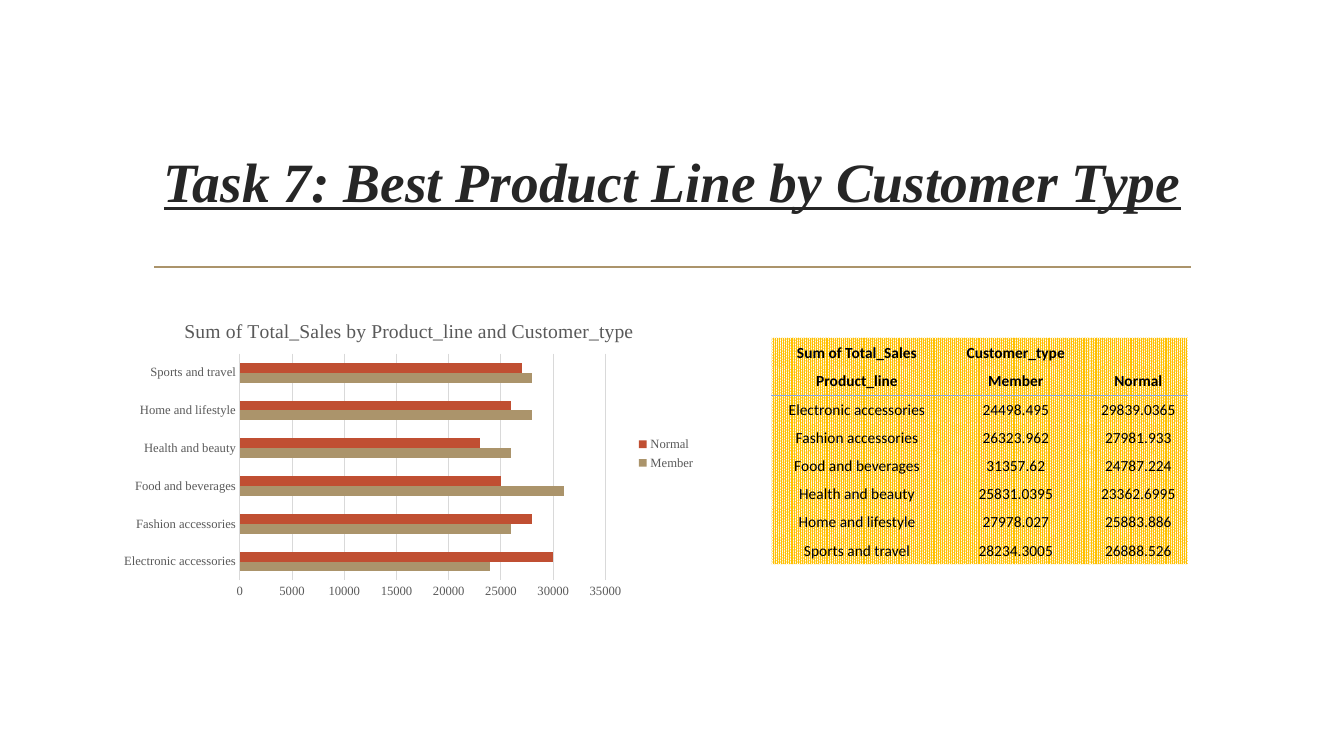
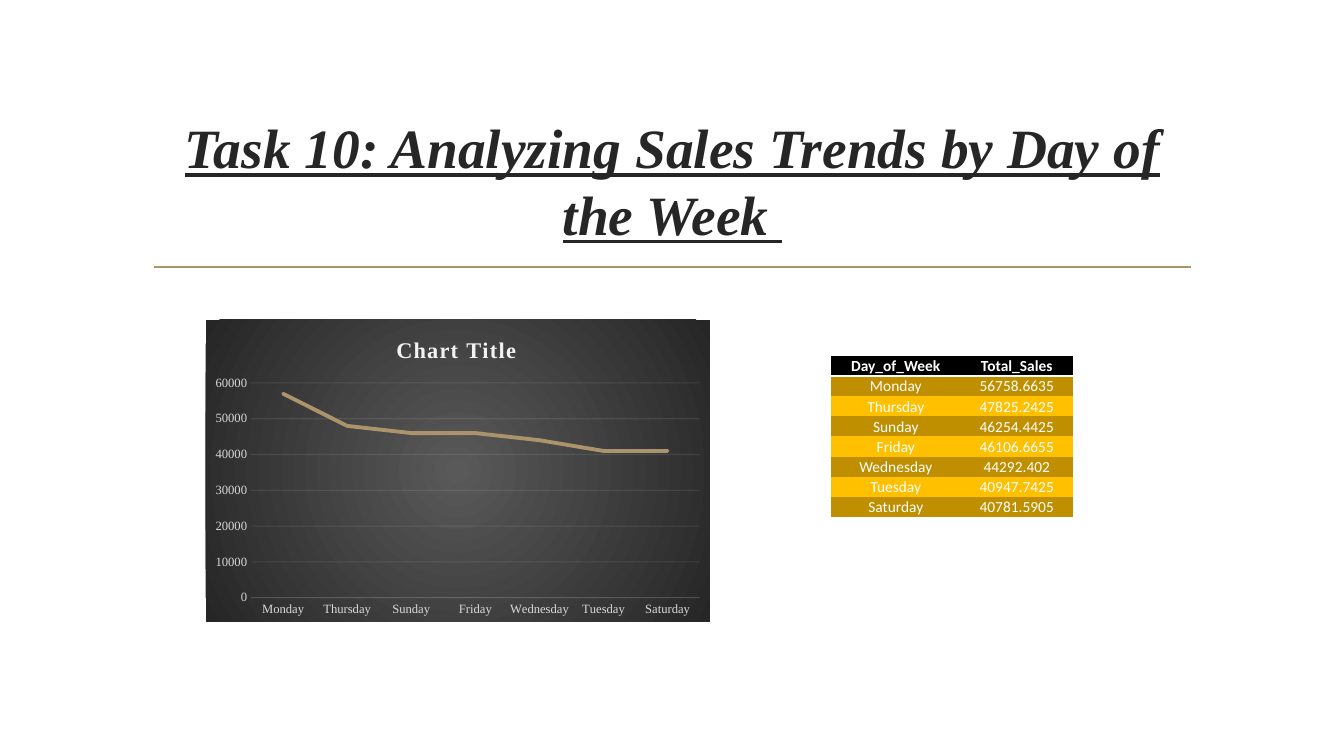
from pptx import Presentation
from pptx.chart.data import CategoryChartData
from pptx.dml.color import RGBColor
from pptx.enum.chart import XL_CHART_TYPE, XL_LEGEND_POSITION, XL_TICK_MARK
from pptx.enum.dml import MSO_PATTERN
from pptx.enum.shapes import MSO_CONNECTOR
from pptx.enum.text import MSO_ANCHOR, MSO_AUTO_SIZE, PP_ALIGN
from pptx.oxml import parse_xml
from pptx.oxml.ns import nsdecls, qn
from pptx.util import Inches, Pt

SERIF = "Times New Roman"
SANS = "Calibri"
TAN = "AB946B"
RUST = "C04F32"
GOLD = "FFC000"
DARK_GOLD = "BF8F00"
BLACK = "000000"
WHITE = "FFFFFF"
INK = "262626"
GREY = "595959"
SILVER = "D9D9D9"
PALE = "F2F2F2"
BLUE = "8EA9DB"
NO_TABLE_STYLE = "{2D5ABB26-0587-4C30-8999-92F81FD0307C}"


def rgb(value):
    return RGBColor.from_string(value)


def style(font, name, size, color, bold=False):
    font.name = name
    font.size = Pt(size)
    font.color.rgb = rgb(color)
    font.bold = bold


tasks = [
    {
        "title": "Task 7: Best Product Line by Customer Type",
        "rows": [
            ("Sum of Total_Sales", "Customer_type", ""),
            ("Product_line", "Member", "Normal"),
            ("Electronic accessories", "24498.495", "29839.0365"),
            ("Fashion accessories", "26323.962", "27981.933"),
            ("Food and beverages", "31357.62", "24787.224"),
            ("Health and beauty", "25831.0395", "23362.6995"),
            ("Home and lifestyle", "27978.027", "25883.886"),
            ("Sports and travel", "28234.3005", "26888.526"),
        ],
        "headers": 2,
        "table_at": (7.65, 3.35),
        "columns": (1.7, 1.45, 0.98),
        "row_height": 0.28,
        "table_text": BLACK,
        "divider": (BLUE, 0.5),
        "chart_type": XL_CHART_TYPE.BAR_CLUSTERED,
        "chart_at": (1.15, 3, 5.85, 3),
        "chart_title": "Sum of Total_Sales by Product_line and Customer_type",
        "chart_title_font": (14, GREY, False),
        "title_place": {"x": 0.11, "y": 0.04},
        "plot_place": {"x": 0.21, "y": 0.17, "w": 0.62, "h": 0.75},
        "label_color": GREY,
        "grid_color": SILVER,
    },
    {
        "title": "Task 10: Analyzing Sales Trends by Day of the Week ",
        "rows": [
            ("Day_of_Week", "Total_Sales"),
            ("Monday", "56758.6635"),
            ("Thursday", "47825.2425"),
            ("Sunday", "46254.4425"),
            ("Friday", "46106.6655"),
            ("Wednesday", "44292.402"),
            ("Tuesday", "40947.7425"),
            ("Saturday", "40781.5905"),
        ],
        "headers": 1,
        "table_at": (8.24, 3.53),
        "columns": (1.29, 1.11),
        "row_height": 0.2,
        "table_text": WHITE,
        "divider": (WHITE, 1),
        "chart_type": XL_CHART_TYPE.LINE,
        "chart_at": (2.04, 3.17, 5, 3),
        "chart_title": "Chart Title",
        "chart_title_font": (16, PALE, True),
        "title_place": {"x": 0.37, "y": 0.04},
        "plot_place": {"x": 0.09, "y": 0.21, "w": 0.89, "h": 0.71},
        "label_color": SILVER,
        "grid_color": PALE,
    },
]

prs = Presentation()
prs.slide_width = Inches(13.33)
prs.slide_height = Inches(7.5)
title_only = prs.slide_layouts[5]

for task in tasks:
    slide = prs.slides.add_slide(title_only)
    is_bar = task["chart_type"] == XL_CHART_TYPE.BAR_CLUSTERED

    rule = slide.shapes.add_connector(
        MSO_CONNECTOR.STRAIGHT, Inches(1.53), Inches(2.65), Inches(11.81), Inches(2.65)
    )
    rule.line.color.rgb = rgb(TAN)
    rule.line.width = Pt(1.25)
    rule.element.spPr.append(parse_xml(f"<a:effectLst {nsdecls('a')}/>"))

    heading = slide.shapes.title
    heading.left, heading.top = Inches(1.42), Inches(1.07)
    heading.width, heading.height = Inches(10.5), Inches(1.43)
    heading.text_frame.word_wrap = True
    heading.text_frame.auto_size = MSO_AUTO_SIZE.NONE
    heading.text_frame.vertical_anchor = MSO_ANCHOR.MIDDLE
    paragraph = heading.text_frame.paragraphs[0]
    paragraph.alignment = PP_ALIGN.CENTER
    run = paragraph.add_run()
    run.text = task["title"]
    style(run.font, SERIF, 39.6, INK, True)
    run.font.italic = True
    run.font.underline = True

    names = task["rows"][task["headers"] - 1]
    records = task["rows"][task["headers"]:]
    sales = CategoryChartData()
    sales.categories = [record[0] for record in records]
    for column, name in enumerate(names[1:], 1):
        sales.add_series(name, [int(round(float(record[column]), -3)) for record in records])
    chart = slide.shapes.add_chart(
        task["chart_type"], *[Inches(length) for length in task["chart_at"]], sales
    ).chart
    style(chart.font, SERIF, 10, BLACK)

    chart.has_title = True
    run = chart.chart_title.text_frame.paragraphs[0].add_run()
    run.text = task["chart_title"]
    size, color, bold = task["chart_title_font"]
    style(run.font, SERIF, size, color, bold)

    category_axis, value_axis = chart.category_axis, chart.value_axis
    for axis in (category_axis, value_axis):
        axis.major_tick_mark = axis.minor_tick_mark = XL_TICK_MARK.NONE
        style(axis.tick_labels.font, SERIF, 9, task["label_color"])
    value_axis.has_major_gridlines = True
    value_axis.tick_labels.number_format = "General"
    value_axis.tick_labels.number_format_is_linked = False
    value_axis.format.line.fill.background()
    for line in (category_axis.format.line, value_axis.major_gridlines.format.line):
        line.color.rgb = rgb(task["grid_color"])
        line.width = Pt(0.75)

    plot = chart.plots[0]
    plot.vary_by_categories = False
    chart.has_legend = is_bar
    if is_bar:
        plot.gap_width = 182
        plot.overlap = 0
        chart.legend.position = XL_LEGEND_POSITION.RIGHT
        chart.legend.include_in_layout = False
        style(chart.legend.font, SERIF, 9, GREY)
        for series, color in zip(plot.series, (TAN, RUST)):
            series.format.fill.solid()
            series.format.fill.fore_color.rgb = rgb(color)
    else:
        trend = plot.series[0]
        trend.smooth = False
        trend.format.line.color.rgb = rgb(TAN)
        trend.format.line.width = Pt(2.75)
        chart.element.xpath(".//c:ser//a:ln")[0].set("cap", "rnd")
        chart.element.xpath(".//c:title//a:rPr")[0].set("spc", "100")
        for faint in chart.element.xpath(f'.//a:ln//a:srgbClr[@val="{PALE}"]'):
            faint.append(parse_xml(f'<a:alpha {nsdecls("a")} val="10000"/>'))
        chart.element.find(qn("c:chart")).addnext(parse_xml(
            f'<c:spPr {nsdecls("c", "a")}><a:gradFill><a:gsLst>'
            f'<a:gs pos="0"><a:srgbClr val="{GREY}"/></a:gs>'
            f'<a:gs pos="100000"><a:srgbClr val="{INK}"/></a:gs></a:gsLst>'
            '<a:path path="circle"><a:fillToRect l="50000" t="50000" r="50000" b="50000"/>'
            '</a:path></a:gradFill><a:ln><a:noFill/></a:ln></c:spPr>'
        ))

    for tag, index, place in (
        ("c:title", 1, task["title_place"]),
        ("c:plotArea", 0, task["plot_place"]),
    ):
        area = chart.element.find(qn("c:chart")).find(qn(tag))
        for automatic in area.findall(qn("c:layout")):
            area.remove(automatic)
        target = '<c:layoutTarget val="inner"/>' if "w" in place else ""
        modes = '<c:xMode val="edge"/><c:yMode val="edge"/>'
        lengths = "".join(f'<c:{key} val="{share}"/>' for key, share in place.items())
        area.insert(index, parse_xml(
            f'<c:layout {nsdecls("c")}><c:manualLayout>{target}{modes}{lengths}'
            '</c:manualLayout></c:layout>'
        ))

    left, top = task["table_at"]
    frame = slide.shapes.add_table(
        len(task["rows"]), len(names), Inches(left), Inches(top),
        Inches(sum(task["columns"])), Inches(task["row_height"] * len(task["rows"])),
    )
    frame.element.xpath(".//a:tableStyleId")[0].text = NO_TABLE_STYLE
    table = frame.table
    table.first_row = table.horz_banding = False
    divider_color, divider_width = task["divider"]
    for column, width in zip(table.columns, task["columns"]):
        column.width = Inches(width)
    for row_index, record in enumerate(task["rows"]):
        table.rows[row_index].height = Inches(task["row_height"])
        is_header = row_index < task["headers"]
        divided_side = {task["headers"] - 1: "lnB", task["headers"]: "lnT"}.get(row_index)
        for column_index, entry in enumerate(record):
            cell = table.cell(row_index, column_index)
            cell.margin_left = cell.margin_right = cell.margin_top = Inches(0.01)
            cell.margin_bottom = 0
            cell.vertical_anchor = MSO_ANCHOR.MIDDLE
            paragraph = cell.text_frame.paragraphs[0]
            paragraph.alignment = PP_ALIGN.CENTER
            run = paragraph.add_run()
            run.text = entry
            style(run.font, SANS, 11, task["table_text"], is_header)
            if is_bar:
                cell.fill.patterned()
                cell.fill.pattern = MSO_PATTERN.PERCENT_90
                cell.fill.fore_color.rgb = rgb(GOLD)
                cell.fill.back_color.rgb = rgb(WHITE)
            else:
                cell.fill.solid()
                band = DARK_GOLD if row_index % 2 else GOLD
                cell.fill.fore_color.rgb = rgb(BLACK if is_header else band)
            properties = frame.element.xpath(".//a:tcPr")[row_index * len(names) + column_index]
            for position, side in enumerate(("lnL", "lnR", "lnT", "lnB")):
                paint = "<a:noFill/>"
                if side == divided_side:
                    paint = (f'<a:solidFill><a:srgbClr val="{divider_color}"/></a:solidFill>'
                             '<a:prstDash val="solid"/>')
                properties.insert(position, parse_xml(
                    f'<a:{side} {nsdecls("a")} w="{Pt(divider_width)}">{paint}</a:{side}>'
                ))

prs.save("out.pptx")
